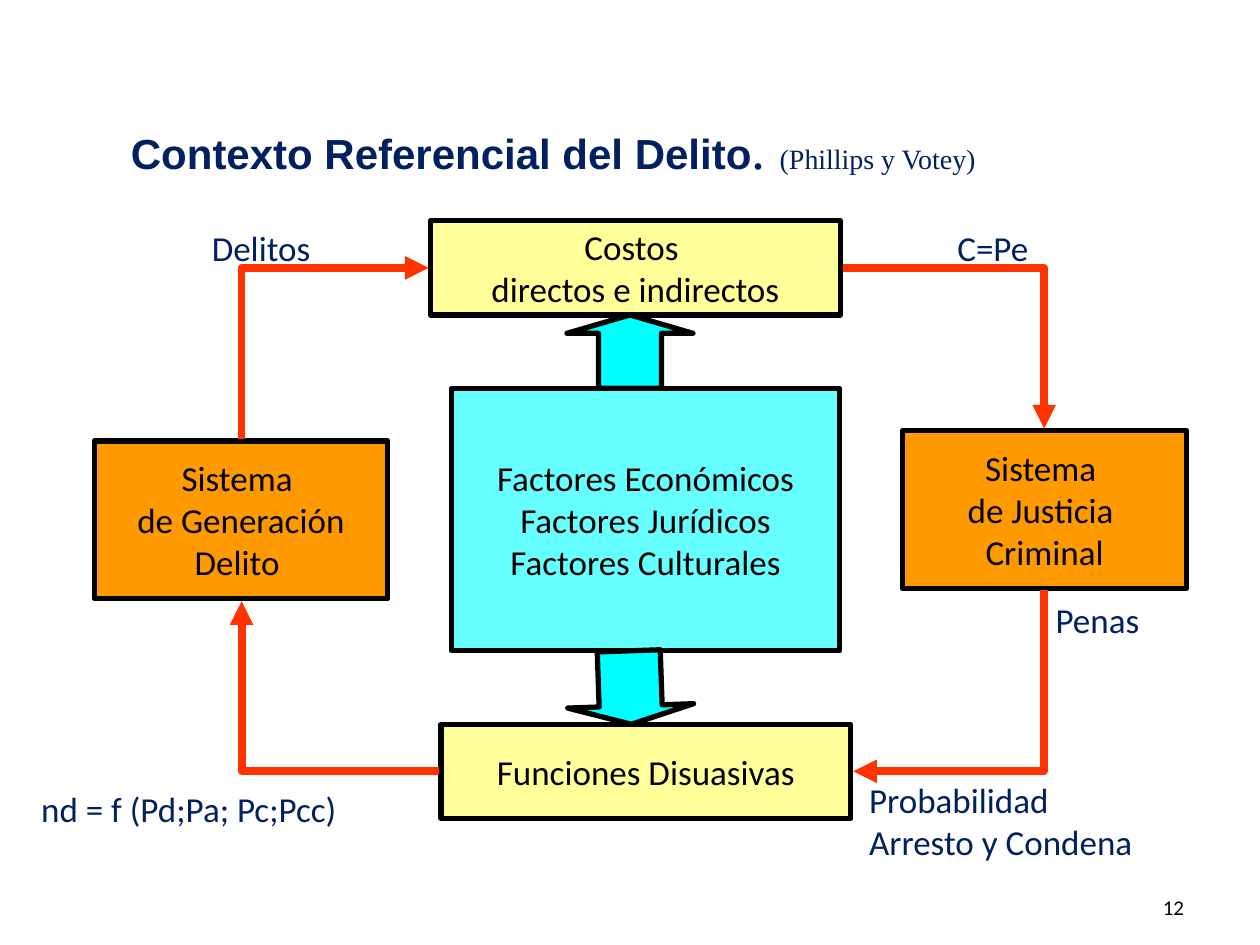
from lxml.etree import SubElement
from pptx import Presentation
from pptx.dml.color import RGBColor
from pptx.enum.shapes import MSO_CONNECTOR, MSO_SHAPE
from pptx.enum.text import MSO_ANCHOR, PP_ALIGN
from pptx.oxml.ns import qn
from pptx.util import Cm, Pt

COLORS = {
    "ink": "040000",
    "black": "000000",
    "navy": "002060",
    "orange": "FF9900",
    "yellow": "FFFF99",
    "sky": "66FFFF",
    "cyan": "00FFFF",
    "red": "FF3300",
}


def color(name):
    return RGBColor.from_string(COLORS[name])


class Diagram:
    font_name = "Calibri"
    font_size = 20
    outline = 3
    flow_width = 4.5

    def __init__(self, slide):
        self.slide = slide

    def style_font(self, font, name, size, color_name, bold=False):
        font.name = name
        font.size = Pt(size)
        font.bold = bold
        font.color.rgb = color(color_name)

    def fill_text(self, frame, lines, color_name, align, size=font_size):
        for index, line in enumerate(lines):
            paragraph = frame.paragraphs[0] if index == 0 else frame.add_paragraph()
            paragraph.text = line
            paragraph.alignment = align
            self.style_font(paragraph.font, self.font_name, size, color_name)

    def shape(self, kind, box, fill):
        shape = self.slide.shapes.add_shape(kind, *map(Cm, box))
        shape.shadow.inherit = False
        shape.fill.solid()
        shape.fill.fore_color.rgb = color(fill)
        shape.line.color.rgb = color("black")
        shape.line.width = Pt(self.outline)
        return shape

    def block(self, box, fill, lines):
        frame = self.shape(MSO_SHAPE.RECTANGLE, box, fill).text_frame
        frame.word_wrap = False
        frame.vertical_anchor = MSO_ANCHOR.MIDDLE
        self.fill_text(frame, lines, "ink", PP_ALIGN.CENTER)

    def block_arrow(self, box, rotation):
        arrow = self.shape(MSO_SHAPE.UP_ARROW, box, "cyan")
        arrow.adjustments[0] = 0.5
        arrow.adjustments[1] = 0.25
        arrow.rotation = rotation

    def text_frame(self, box, wrap, anchor):
        frame = self.slide.shapes.add_textbox(*map(Cm, box)).text_frame
        frame.word_wrap = wrap
        frame.vertical_anchor = anchor
        return frame

    def label(self, box, lines):
        frame = self.text_frame(box, False, MSO_ANCHOR.TOP)
        self.fill_text(frame, lines, "navy", PP_ALIGN.LEFT)

    def title(self, box, runs):
        frame = self.text_frame(box, True, MSO_ANCHOR.MIDDLE)
        frame.margin_top = Cm(0.38)
        for text, name, size, bold in runs:
            run = frame.paragraphs[0].add_run()
            run.text = text
            self.style_font(run.font, name, size, "navy", bold)

    def page_number(self, box, number):
        frame = self.text_frame(box, True, MSO_ANCHOR.BOTTOM)
        self.fill_text(frame, [number], "black", PP_ALIGN.RIGHT, 12)

    def flow(self, start, end, rotation):
        width, height = (abs(b - a) for a, b in zip(start, end))
        center_x, center_y = ((a + b) / 2 for a, b in zip(start, end))
        if rotation % 180:
            width, height = height, width
        left, top = center_x - width / 2, center_y - height / 2
        connector = self.slide.shapes.add_connector(
            MSO_CONNECTOR.ELBOW, *map(Cm, (left, top, left + width, top + height))
        )
        connector.line.color.rgb = color("red")
        connector.line.width = Pt(self.flow_width)
        properties = connector._element.spPr
        properties.find(qn("a:prstGeom")).set("prst", "bentConnector2")
        properties.find(qn("a:xfrm")).set("rot", str(rotation * 60000))
        SubElement(properties.find(qn("a:ln")), qn("a:tailEnd"), type="triangle")
        SubElement(properties, qn("a:effectLst"))


def main():
    presentation = Presentation()
    presentation.slide_width = Cm(25.4)
    presentation.slide_height = Cm(19.05)
    slide = presentation.slides.add_slide(presentation.slide_layouts[6])
    diagram = Diagram(slide)

    diagram.page_number((18.2, 17.35, 5.92, 1.32), "12")
    diagram.title((2.39, 1.78, 18.8, 2.11), [
        ("Contexto Referencial del Delito", "Arial", 24, True),
        (". ", "Times New Roman", 32, False),
        ("(Phillips y Votey)", "Times New Roman", 16, False),
    ])

    for box, fill, lines in [
        ((18.2, 8.68, 5.72, 3.18), "orange", ["Sistema ", "de Justicia ", "Criminal"]),
        ((8.89, 14.6, 8.26, 1.9), "yellow", ["Funciones Disuasivas"]),
        ((8.68, 4.45, 8.26, 1.9), "yellow", ["Costos ", "directos e indirectos"]),
        ((9.1, 7.83, 7.83, 5.29), "sky",
         ["Factores Económicos", "Factores Jurídicos", "Factores Culturales"]),
        ((1.9, 8.89, 5.92, 3.18), "orange", ["Sistema ", "de Generación", "Delito "]),
    ]:
        diagram.block(box, fill, lines)

    for top, rotation in [(6.35, 0), (13.12, 178)]:
        diagram.block_arrow((11.43, top, 2.54, 1.48), rotation)

    for box, lines in [
        ((4.02, 4.45, 2.51, 1.12), ["Delitos"]),
        ((19.05, 4.45, 1.96, 1.12), ["C=Pe"]),
        ((21.03, 11.94, 2.21, 1.12), ["Penas"]),
        ((17.27, 15.57, 5.87, 1.96), ["Probabilidad", "Arresto y Condena"]),
        ((0.58, 15.75, 6.53, 1.12), ["nd = f (Pd;Pa; Pc;Pcc)"]),
    ]:
        diagram.label(box, lines)

    for start, end, rotation in [
        ((8.84, 15.55), (4.87, 12.12), 180),
        ((4.87, 8.84), (8.64, 5.4), 270),
        ((17, 5.4), (21.05, 8.64), 0),
        ((21.05, 11.9), (17.2, 15.55), 90),
    ]:
        diagram.flow(start, end, rotation)

    presentation.save("out.pptx")


if __name__ == "__main__":
    main()
